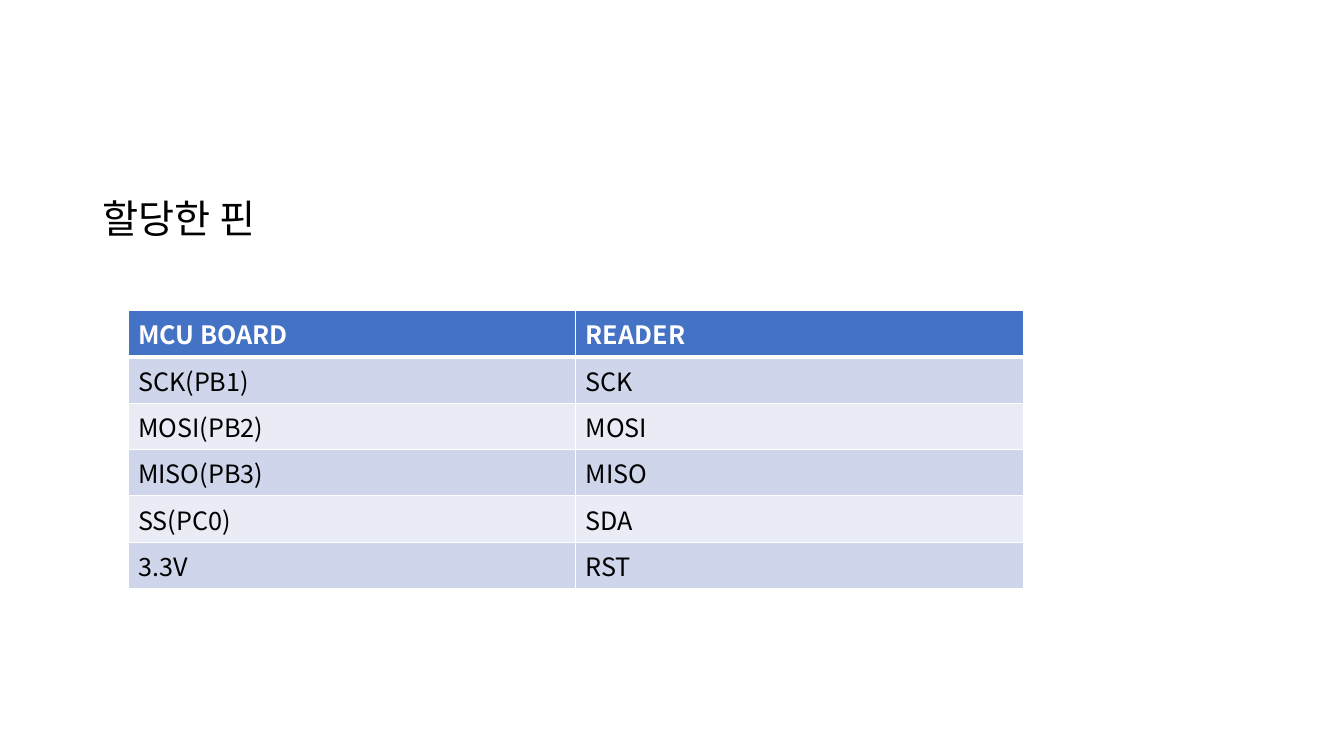
from dataclasses import dataclass

from lxml.etree import SubElement
from pptx import Presentation
from pptx.dml.color import RGBColor
from pptx.oxml.ns import qn
from pptx.util import Inches, Pt

# Content
HEADING = "할당한 핀"
PIN_ROWS = [
    ("MCU BOARD", "READER"),
    ("SCK(PB1)", "SCK"),
    ("MOSI(PB2)", "MOSI"),
    ("MISO(PB3)", "MISO"),
    ("SS(PC0)", "SDA"),
    ("3.3V", "RST"),
]


@dataclass(frozen=True)
class Theme:
    font: str = "Noto Sans CJK KR"
    heading_size: int = 28
    table_size: int = 18
    text: str = "000000"
    light: str = "FFFFFF"
    header: str = "4472C4"
    bands: tuple = ("E9EBF5", "CFD5EA")
    thin: int = 1
    thick: int = 3


THEME = Theme()

# Layout, in inches
SLIDE_WIDTH, SLIDE_HEIGHT = 13.33, 7.5
HEADING_BOX = (0.92, 1.93, 11.5, 0.7)
TABLE_LEFT, TABLE_TOP = 1.27, 3.08
COLUMN_WIDTH, ROW_HEIGHT = 4.44, 0.46


def add_run(paragraph, text, size, color, bold=False):
    run = paragraph.add_run()
    run.text = text
    run.font.name = THEME.font
    run.font.size = Pt(size)
    run.font.bold = bold
    run.font.color.rgb = RGBColor.from_string(color)
    SubElement(run.font._element, qn("a:ea"), typeface=THEME.font)


def add_border(cell, side, width):
    properties = cell._tc.get_or_add_tcPr()
    line = SubElement(properties, qn(f"a:ln{side}"), w=str(Pt(width)))
    fill = SubElement(line, qn("a:solidFill"))
    SubElement(fill, qn("a:srgbClr"), val=THEME.light)


def add_heading(slide):
    box = slide.shapes.add_textbox(*map(Inches, HEADING_BOX))
    box.text_frame.word_wrap = True
    paragraph = box.text_frame.paragraphs[0]
    paragraph.line_spacing = 0.9
    paragraph.space_before = Pt(10)
    add_run(paragraph, HEADING, THEME.heading_size, THEME.text)


def add_pin_table(slide):
    row_count, column_count = len(PIN_ROWS), len(PIN_ROWS[0])
    table = slide.shapes.add_table(
        row_count, column_count, Inches(TABLE_LEFT), Inches(TABLE_TOP),
        Inches(COLUMN_WIDTH * column_count), Inches(ROW_HEIGHT * row_count),
    ).table
    for column in table.columns:
        column.width = Inches(COLUMN_WIDTH)
    for row_index, labels in enumerate(PIN_ROWS):
        table.rows[row_index].height = Inches(ROW_HEIGHT)
        is_header = row_index == 0
        fill_color = THEME.header if is_header else THEME.bands[row_index % 2]
        text_color = THEME.light if is_header else THEME.text
        # The rule under the header is shared by the first two rows
        widths = {
            "L": THEME.thin,
            "R": THEME.thin,
            "T": THEME.thick if row_index == 1 else THEME.thin,
            "B": THEME.thick if is_header else THEME.thin,
        }
        for column_index, label in enumerate(labels):
            cell = table.cell(row_index, column_index)
            for side, width in widths.items():
                add_border(cell, side, width)
            cell.fill.solid()
            cell.fill.fore_color.rgb = RGBColor.from_string(fill_color)
            add_run(cell.text_frame.paragraphs[0], label,
                    THEME.table_size, text_color, is_header)


def main():
    presentation = Presentation()
    presentation.slide_width = Inches(SLIDE_WIDTH)
    presentation.slide_height = Inches(SLIDE_HEIGHT)
    slide = presentation.slides.add_slide(presentation.slide_layouts[6])
    add_heading(slide)
    add_pin_table(slide)
    presentation.save("out.pptx")


if __name__ == "__main__":
    main()
